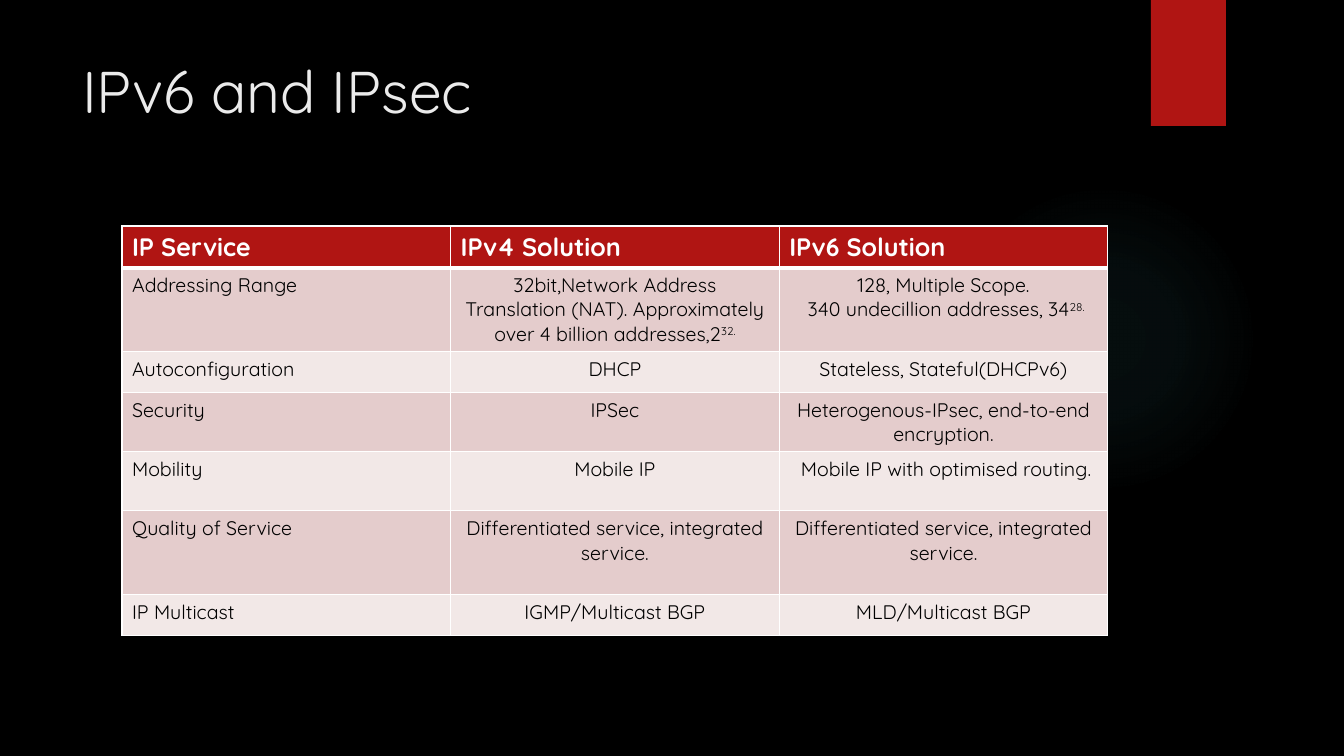
from dataclasses import dataclass

from lxml import etree
from pptx import Presentation, util as u
from pptx.dml.color import RGBColor
from pptx.enum import shapes, text
from pptx.oxml import ns

SCALE = 914400 / 100.8
FONT = "Quicksand"
COLORS = {
    "back": "000000", "title": "EBEBEB", "red": "B01513", "glow": "50B9C1",
    "white": "FFFFFF", "ink": "000000", "dark": "E4CCCC", "light": "F2E8E7",
}


@dataclass(frozen=True)
class Box:
    left: int
    top: int
    width: int
    height: int


@dataclass(frozen=True)
class Row:
    height: int
    cells: tuple[str, str, str]


GLOW = Box(949, 184, 310, 310)
TAB = Box(1151, 0, 75, 126)
TITLE = Box(72, 50, 1037, 154)
GRID = Box(122, 226, 986, 409)
QOS = "Differentiated service, integrated service."
ROWS = (
    Row(41, ("IP Service", "IPv4 Solution", "IPv6 Solution")),
    Row(84, ("Addressing Range",
             "32bit,Network Address Translation (NAT). Approximately over 4 billion addresses,2^32.",
             "128, Multiple Scope.\n 340 undecillion addresses, 34^28.")),
    Row(41, ("Autoconfiguration", "DHCP", "Stateless, Stateful(DHCPv6)")),
    Row(59, ("Security", "IPSec", "Heterogenous-IPsec, end-to-end encryption.")),
    Row(59, ("Mobility", "Mobile IP", " Mobile IP with optimised routing.")),
    Row(84, ("Quality of Service", QOS, QOS)),
    Row(41, ("IP Multicast", "IGMP/Multicast BGP", "MLD/Multicast BGP")),
)


def px(n: float) -> int:
    return round(n * SCALE)


def place(box: Box) -> tuple[int, int, int, int]:
    return px(box.left), px(box.top), px(box.width), px(box.height)


def color(name: str) -> RGBColor:
    return RGBColor.from_string(COLORS[name])


def style(run, size: int, name: str, bold: bool = False) -> None:
    run.font.name = FONT
    run.font.size = u.Pt(size)
    run.font.bold = bold
    run.font.color.rgb = color(name)


def add_shape(slide, kind, box: Box, name: str):
    shape = slide.shapes.add_shape(kind, *place(box))
    shape.shadow.inherit = False
    shape.fill.solid()
    shape.fill.fore_color.rgb = color(name)
    shape.line.fill.background()
    return shape


def fade(shape, name: str, stops: tuple[tuple[int, int], ...]) -> None:
    marks = "".join(
        f'<a:gs pos="{pos * 1000}"><a:srgbClr val="{COLORS[name]}">'
        f'<a:alpha val="{alpha * 1000}"/></a:srgbClr></a:gs>'
        for pos, alpha in stops)
    grad = etree.fromstring(
        f'<a:gradFill {ns.nsdecls("a")} rotWithShape="1"><a:gsLst>{marks}</a:gsLst>'
        '<a:path path="circle"><a:fillToRect l="50000" t="50000" r="50000" b="50000"/>'
        '</a:path></a:gradFill>')
    props = shape.element.spPr
    props.replace(props.find(ns.qn("a:solidFill")), grad)


def add_edges(cell, widths: dict[str, int]) -> None:
    props = cell._tc.get_or_add_tcPr()
    for spot, (side, width) in enumerate(widths.items()):
        props.insert(spot, etree.fromstring(
            f'<a:ln{side} {ns.nsdecls("a")} w="{u.Pt(width)}"><a:solidFill>'
            f'<a:srgbClr val="{COLORS["white"]}"/></a:solidFill></a:ln{side}>'))


def fill_cell(cell, words: str, row: int, col: int) -> None:
    head = row == 0
    cell.fill.solid()
    cell.fill.fore_color.rgb = color("red" if head else "dark" if row % 2 else "light")
    add_edges(cell, {"L": 1, "R": 1, "T": 3 if row == 1 else 1, "B": 3 if head else 1})
    cell.text_frame.text = words
    for para in cell.text_frame.paragraphs:
        base, _, power = para.text.partition("^")
        para.text = base
        if power:
            raised = para.add_run()
            raised.text = power
            raised.font._element.set("baseline", "30000")
        if col and not head:
            para.alignment = text.PP_ALIGN.CENTER
        for run in para.runs:
            style(run, 18 if head else 14, "white" if head else "ink", head)


def add_grid(slide) -> None:
    count = len(ROWS[0].cells)
    table = slide.shapes.add_table(len(ROWS), count, *place(GRID)).table
    for column in table.columns:
        column.width = px(GRID.width / count)
    for i, row in enumerate(ROWS):
        table.rows[i].height = px(row.height)
        for j, words in enumerate(row.cells):
            fill_cell(table.cell(i, j), words, i, j)


def add_title(slide, words: str) -> None:
    title = slide.shapes.title
    title.left, title.top, title.width, title.height = place(TITLE)
    frame = title.text_frame
    frame.text = words
    frame.word_wrap = True
    frame.vertical_anchor = text.MSO_ANCHOR.TOP
    frame.paragraphs[0].alignment = text.PP_ALIGN.LEFT
    style(frame.paragraphs[0].runs[0], 42, "title")


def main() -> None:
    deck = Presentation()
    deck.slide_width, deck.slide_height = px(1344), px(756)
    slide = deck.slides.add_slide(deck.slide_layouts[5])
    slide.background.fill.solid()
    slide.background.fill.fore_color.rgb = color("back")
    glow = add_shape(slide, shapes.MSO_SHAPE.OVAL, GLOW, "glow")
    fade(glow, "glow", ((0, 7), (36, 6), (69, 0)))
    add_shape(slide, shapes.MSO_SHAPE.RECTANGLE, TAB, "red")
    add_title(slide, "IPv6 and IPsec")
    add_grid(slide)
    deck.save("out.pptx")


if __name__ == "__main__":
    main()
